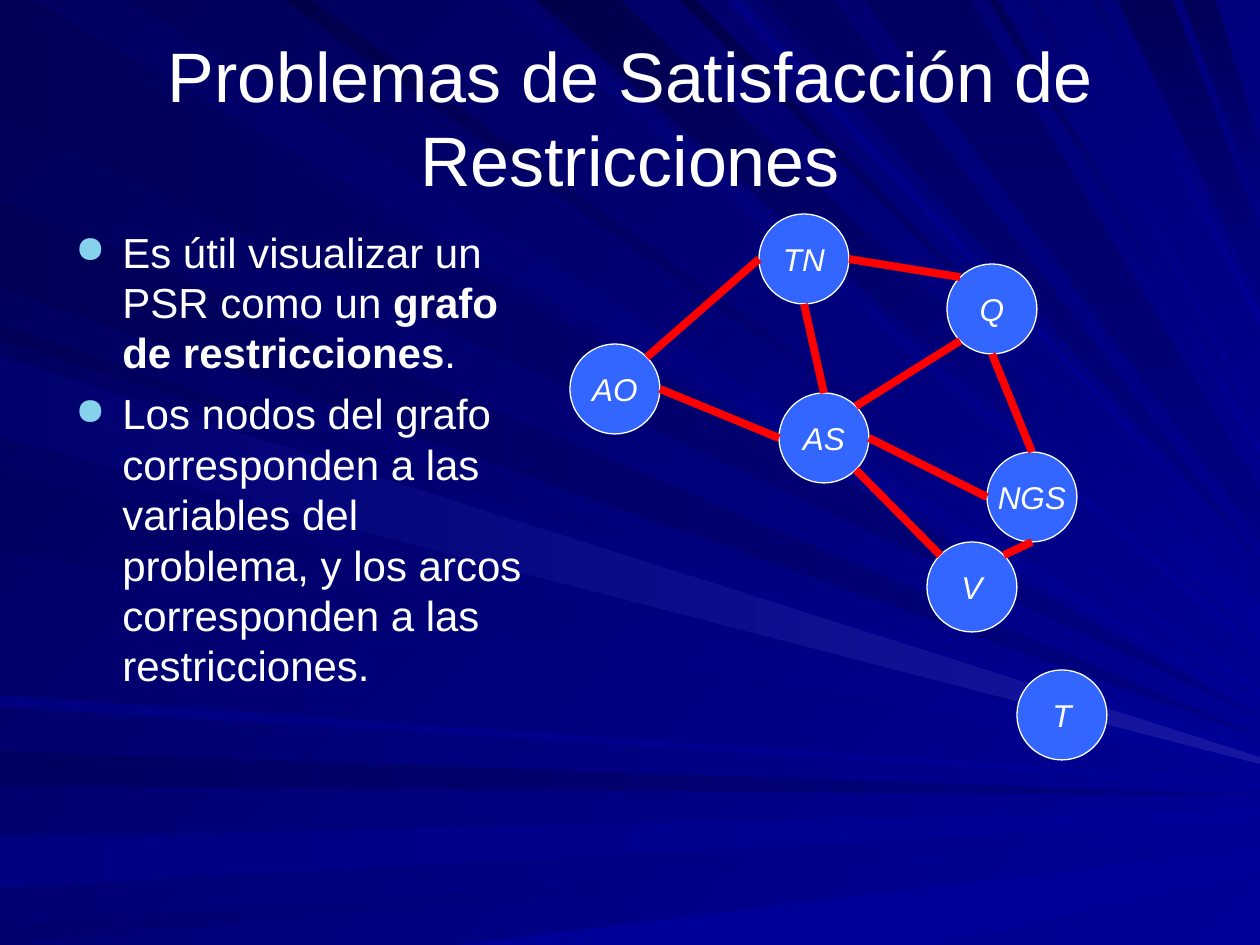
from math import cos, radians, sin
from typing import NamedTuple

from lxml import etree
from pptx import Presentation
from pptx.dml.color import RGBColor
from pptx.enum.shapes import MSO_CONNECTOR, MSO_SHAPE
from pptx.enum.text import MSO_ANCHOR, MSO_AUTO_SIZE, PP_ALIGN
from pptx.oxml.ns import qn
from pptx.util import Emu, Pt

LINE = MSO_CONNECTOR.STRAIGHT
OVAL = MSO_SHAPE.OVAL
MIDDLE, TOP = MSO_ANCHOR.MIDDLE, MSO_ANCHOR.TOP
CENTER, LEFT = PP_ALIGN.CENTER, PP_ALIGN.LEFT
NO_FIT = MSO_AUTO_SIZE.NONE

SCALE = 914400 / 126  # EMU in one px
WIDE, HIGH = 1260, 945
NODE = 90
HANG = 47
FONT = "Arial"

COLORS = {
    "white": "FFFFFF", "node": "3366FF", "edge": "FF0000", "bullet": "86D1EC",
    "light": "000099", "soft": "000080", "mid": "00006E", "dim": "000060",
    "dark": "000057", "deep": "00004A", "glow": "1616A1",
}

# Compass sides, clockwise from the right
SIDES = {side: 45 * i for i, side in
         enumerate(["E", "SE", "S", "SW", "W", "NW", "N", "NE"])}


class Ray(NamedTuple):
    """A beam from the rim of the slide to its right side.

    far runs along the rim from the top left corner: to the right above
    zero, down the left side and then along the bottom below zero.
    """
    start: str
    end: str
    side: str
    far: int
    wide: int
    near: int
    tip: int = 1


class Node(NamedTuple):
    name: str
    left: int
    top: int


class Edge(NamedTuple):
    tail: str
    out: str
    head: str
    into: str


RAYS = [
    Ray("soft", "dark", "W", -117, 114, 718),
    Ray("light", "dim", "NW", 33, 94, 709),
    Ray("soft", "dim", "W", -785, 34, 796),
    Ray("light", "soft", "W", -887, 49, 820, 10),
    Ray("light", "mid", "W", -945, 19, 834),
    Ray("light", "light", "W", -1880, 476, 874, 27),
    Ray("light", "dark", "NW", -340, 15, 742),
    Ray("soft", "dark", "W", -287, 87, 737),
    Ray("light", "mid", "NW", 501, 23, 656, 7),
    Ray("light", "deep", "NW", 537, 83, 639, 35),
    Ray("light", "deep", "NW", 680, 16, 583),
    Ray("soft", "dim", "N", 764, 69, 562),
    Ray("soft", "dark", "N", 1118, 54, 299, 68),
    Ray("soft", "dark", "N", 1183, 32, 210, 66),
    Ray("light", "dim", "NW", -431, 81, 759, 8),
    Ray("light", "dim", "NW", -551, 80, 764, 2),
    Ray("light", "soft", "W", -706, 10, 785, 3),
    Ray("light", "deep", "NW", 284, 27, 696, 7),
    Ray("light", "soft", "NW", 727, 14, 572),
    Ray("soft", "dim", "N", 864, 106, 539, 48),
    Ray("light", "dark", "NW", 989, 9, 454, 8),
    Ray("light", "mid", "NW", 1027, 11, 423),
    Ray("light", "mid", "NW", 1090, 9, 325, 11),
    Ray("glow", "mid", "W", -437, 80, 764, 7),
]
NODES = [
    Node("AO", 570, 344), Node("TN", 759, 214), Node("AS", 779, 393),
    Node("Q", 947, 264), Node("NGS", 987, 452), Node("V", 927, 542),
    Node("T", 1017, 670),
]
EDGES = [
    Edge("AO", "E", "AS", "W"), Edge("TN", "S", "AS", "N"),
    Edge("AO", "NE", "TN", "W"), Edge("TN", "E", "Q", "NW"),
    Edge("AS", "NE", "Q", "SW"), Edge("NGS", "N", "Q", "S"),
    Edge("NGS", "W", "AS", "E"), Edge("V", "NW", "AS", "SE"),
    Edge("NGS", "S", "V", "NE"),
]
TITLE = "Problemas de Satisfacción de Restricciones"
# Each point is a list of runs, every second one bold
POINTS = [
    ["Es útil visualizar un PSR como un ", "grafo de restricciones", "."],
    ["Los nodos del grafo corresponden a las variables del problema, "
     "y los arcos corresponden a las restricciones."],
]


def px(size: float) -> Emu:
    return Emu(round(size * SCALE))


def rgb(name: str) -> RGBColor:
    return RGBColor.from_string(COLORS[name])


def shade(fill, start: str, end: str, side: str) -> None:
    """Fill with a gradient that runs towards a side."""
    fill.gradient()
    fill.gradient_angle = 360 - SIDES[side]
    for stop, name in zip(fill.gradient_stops, (start, end)):
        stop.color.rgb = rgb(name)


def style(run, size: int, bold: bool = False, slant: bool = False) -> None:
    font = run.font
    font.name, font.size = FONT, Pt(size)
    font.bold, font.italic = bold, slant
    font.color.rgb = rgb("white")


def spot(far: int) -> tuple[int, int]:
    """Point on the rim of the slide."""
    if far >= 0:
        return far, 0
    return max(-far - HIGH, 0), min(-far, HIGH)


def draw_ray(shapes, ray: Ray) -> None:
    pen = shapes.build_freeform(*spot(ray.far), scale=SCALE)
    pen.add_line_segments([(WIDE, ray.near), (WIDE, ray.near - ray.tip),
                           spot(ray.far + ray.wide)], close=True)
    beam = pen.convert_to_shape()
    beam.shadow.inherit = False
    beam.line.fill.background()
    shade(beam.fill, ray.start, ray.end, ray.side)


def set_title(title) -> None:
    title.left, title.top, title.width, title.height = map(px, (63, 38, 1134, 157))
    frame = title.text_frame
    frame.text = TITLE
    frame.auto_size, frame.vertical_anchor = NO_FIT, MIDDLE
    frame.paragraphs[0].alignment = CENTER
    style(frame.paragraphs[0].runs[0], 40)


def add_bullet(para) -> None:
    props = para._p.get_or_add_pPr()
    props.set("marL", str(px(HANG)))
    props.set("indent", str(-px(HANG)))
    color = etree.SubElement(props, qn("a:buClr"))
    etree.SubElement(color, qn("a:srgbClr"), val=COLORS["bullet"])
    etree.SubElement(props, qn("a:buSzPct"), val="90000")
    etree.SubElement(props, qn("a:buChar"), char="●")


def draw_body(shapes) -> None:
    frame = shapes.add_textbox(*map(px, (63, 220, 478, 580))).text_frame
    frame.word_wrap, frame.vertical_anchor = True, TOP
    for i, parts in enumerate(POINTS):
        para = frame.add_paragraph() if i else frame.paragraphs[0]
        para.alignment, para.space_before = LEFT, Pt(6)
        add_bullet(para)
        for j, part in enumerate(parts):
            run = para.add_run()
            run.text = part
            style(run, 24, bold=j % 2 == 1)


def draw_node(shapes, node: Node) -> None:
    disc = shapes.add_shape(OVAL, *map(px, (node.left, node.top, NODE, NODE)))
    disc.shadow.inherit = False
    disc.fill.solid()
    disc.fill.fore_color.rgb = rgb("node")
    disc.line.color.rgb, disc.line.width = rgb("white"), Pt(0.75)
    frame = disc.text_frame
    frame.text = node.name
    frame.word_wrap, frame.vertical_anchor = False, MIDDLE
    frame.paragraphs[0].alignment = CENTER
    style(frame.paragraphs[0].runs[0], 18, slant=True)


def rim(node: Node, side: str) -> tuple[Emu, Emu]:
    """Point on the circle of a node."""
    turn, half = radians(SIDES[side]), NODE / 2
    return (px(node.left + half + half * cos(turn)),
            px(node.top + half + half * sin(turn)))


def draw_edge(shapes, edge: Edge, nodes: dict[str, Node]) -> None:
    ends = rim(nodes[edge.tail], edge.out) + rim(nodes[edge.head], edge.into)
    link = shapes.add_connector(LINE, *ends)
    link.line.color.rgb, link.line.width = rgb("edge"), Pt(4.5)
    etree.SubElement(link._element.spPr, qn("a:effectLst"))


def main() -> None:
    deck = Presentation()
    deck.slide_width, deck.slide_height = px(WIDE), px(HIGH)
    slide = deck.slides.add_slide(deck.slide_layouts[5])
    shapes = slide.shapes
    shade(slide.background.fill, "light", "dark", "NW")
    for ray in RAYS:
        draw_ray(shapes, ray)
    title = shapes.title
    set_title(title)
    shapes._spTree.append(title._element)  # in front of the rays
    draw_body(shapes)
    for node in NODES:
        draw_node(shapes, node)
    nodes = {node.name: node for node in NODES}
    for edge in EDGES:
        draw_edge(shapes, edge, nodes)
    deck.save("out.pptx")


if __name__ == "__main__":
    main()
